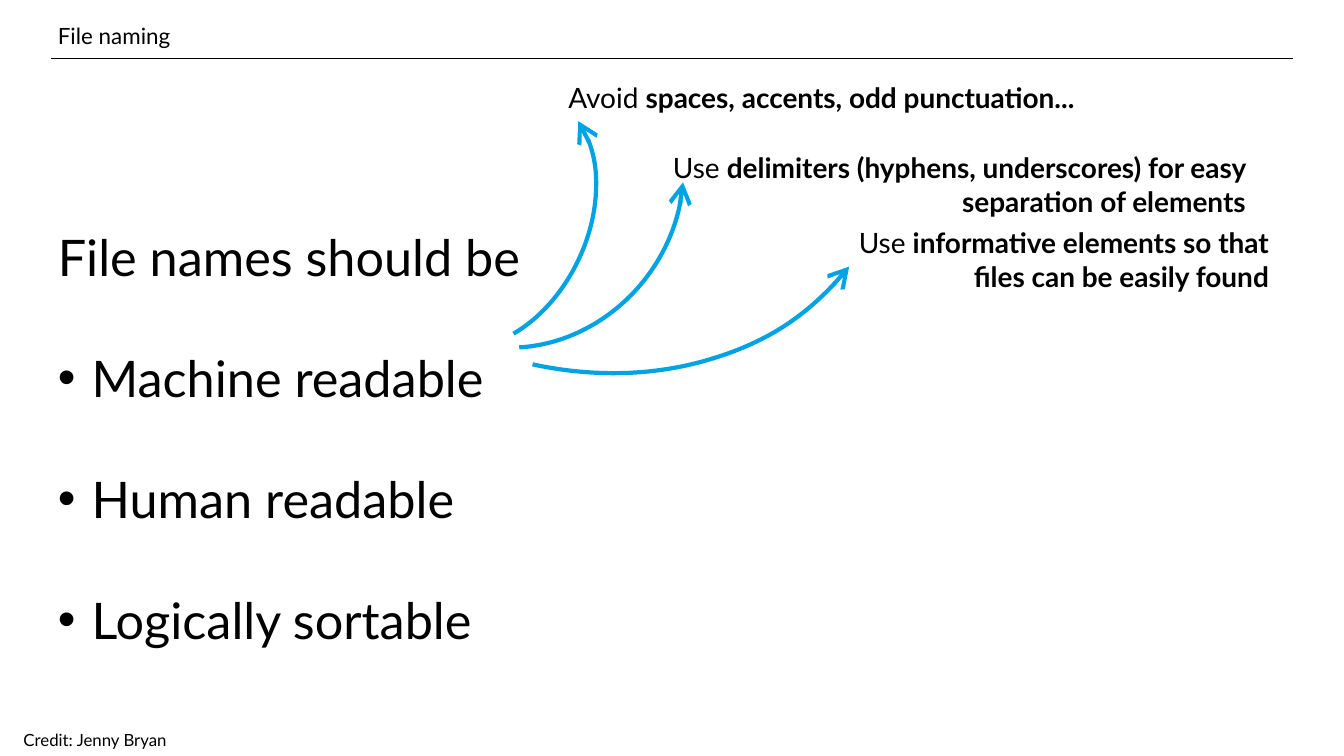
from lxml import etree
from pptx import Presentation
from pptx import util as u
from pptx.dml.color import RGBColor
from pptx.enum import shapes, text
from pptx.oxml.ns import qn

COLORS = {"text": "000000", "arrow": "00A3E3"}
FONT = "Lato"
ALIGN = text.PP_ALIGN


def add_run(p, content, size, bold=False):
    r = p.add_run()
    r.text = content
    r.font.name = FONT
    r.font.size = u.Pt(size)
    r.font.bold = bold
    r.font.color.rgb = RGBColor.from_string(COLORS["text"])


def add_box(s, box, wrap=True, anchor=text.MSO_ANCHOR.TOP):
    tf = s.shapes.add_textbox(*map(u.Inches, box)).text_frame
    tf.word_wrap = wrap
    tf.vertical_anchor = anchor
    return tf


def add_label(s, box, runs, size, align, wrap=True):
    tf = add_box(s, box, wrap, text.MSO_ANCHOR.MIDDLE)
    tf.margin_left = tf.margin_right = u.Inches(0.08)
    tf.margin_top = tf.margin_bottom = u.Inches(0.08)
    p = tf.paragraphs[0]
    p.alignment = align
    for content, bold in runs:
        add_run(p, content, size, bold)


def add_title(s, content):
    tf = add_box(s, (1.05, 0.38, 24.61, 0.76))
    add_run(tf.paragraphs[0], content, 32)


def add_bullet(p):
    pPr = p._p.get_or_add_pPr()
    indent = u.Inches(0.67)
    pPr.set("marL", str(indent))
    pPr.set("indent", str(-indent))
    etree.SubElement(pPr, qn("a:buFont"), typeface="Arial")
    etree.SubElement(pPr, qn("a:buChar"), char="•")


def add_body(s, heading, items):
    tf = add_box(s, (1.05, 3.23, 24.6, 9.54))
    for i, content in enumerate([heading] + items):
        p = tf.add_paragraph() if i else tf.paragraphs[0]
        if i:
            add_bullet(p)
        p.line_spacing = 2.0
        add_run(p, content, 72)


def add_rule(s, x1, x2, y):
    ends = map(u.Inches, (x1, y, x2, y))
    line = s.shapes.add_connector(shapes.MSO_CONNECTOR.STRAIGHT, *ends)
    line.line.color.rgb = RGBColor.from_string(COLORS["text"])
    line.line.width = u.Pt(1)
    etree.SubElement(line._element.spPr, qn("a:effectLst"))


def add_arc_arrow(s, box, rotation, end):
    sp = s.shapes.add_shape(shapes.MSO_SHAPE.ARC, *map(u.Inches, box))
    sp.shadow.inherit = False
    sp.adjustments[0] = 75.46
    sp.adjustments[1] = end
    sp.rotation = rotation
    sp._element.spPr.get_or_add_xfrm().set("flipH", "1")
    sp.fill.background()
    sp.line.color.rgb = RGBColor.from_string(COLORS["arrow"])
    sp.line.width = u.Pt(6)
    etree.SubElement(sp.line._get_or_add_ln(), qn("a:tailEnd"),
                     type="arrow", w="lg", len="lg")


def main():
    prs = Presentation()
    prs.slide_width, prs.slide_height = u.Inches(26.67), u.Inches(15)
    s = prs.slides.add_slide(prs.slide_layouts[6])

    add_rule(s, 1.01, 25.66, 1.15)
    add_title(s, "File naming")
    add_body(s, "File names should be",
             ["Machine readable", "Human readable", "Logically sortable"])

    tips = [
        ((10.92, 1.51, 10.76, 0.83), "Avoid ",
         "spaces, accents, odd punctuation...", ALIGN.CENTER, False),
        ((10.92, 2.91, 13.88, 1.5), "Use ",
         "delimiters (hyphens, underscores) for easy separation of elements",
         ALIGN.RIGHT, True),
        ((16.09, 4.4, 9.17, 1.5), "Use ",
         "informative elements so that files can be easily found",
         ALIGN.RIGHT, True),
    ]
    for box, verb, advice, align, wrap in tips:
        add_label(s, box, [(verb, False), (advice, True)], 40, align, wrap)

    arrows = [
        ((7.89, 1.67, 3.77, 5.36), 25.4, 152.55),
        ((7.52, 0.43, 5.9, 6.6), 38.8, 132.53),
        ((3.33, -5.77, 15.18, 12.65), 38.8, 108.11),
    ]
    for box, rotation, end in arrows:
        add_arc_arrow(s, box, rotation, end)

    add_label(s, (0.32, 14.39, 3.13, 0.56), [("Credit: Jenny Bryan", False)],
              24, ALIGN.CENTER, False)
    prs.save("out.pptx")


if __name__ == "__main__":
    main()
